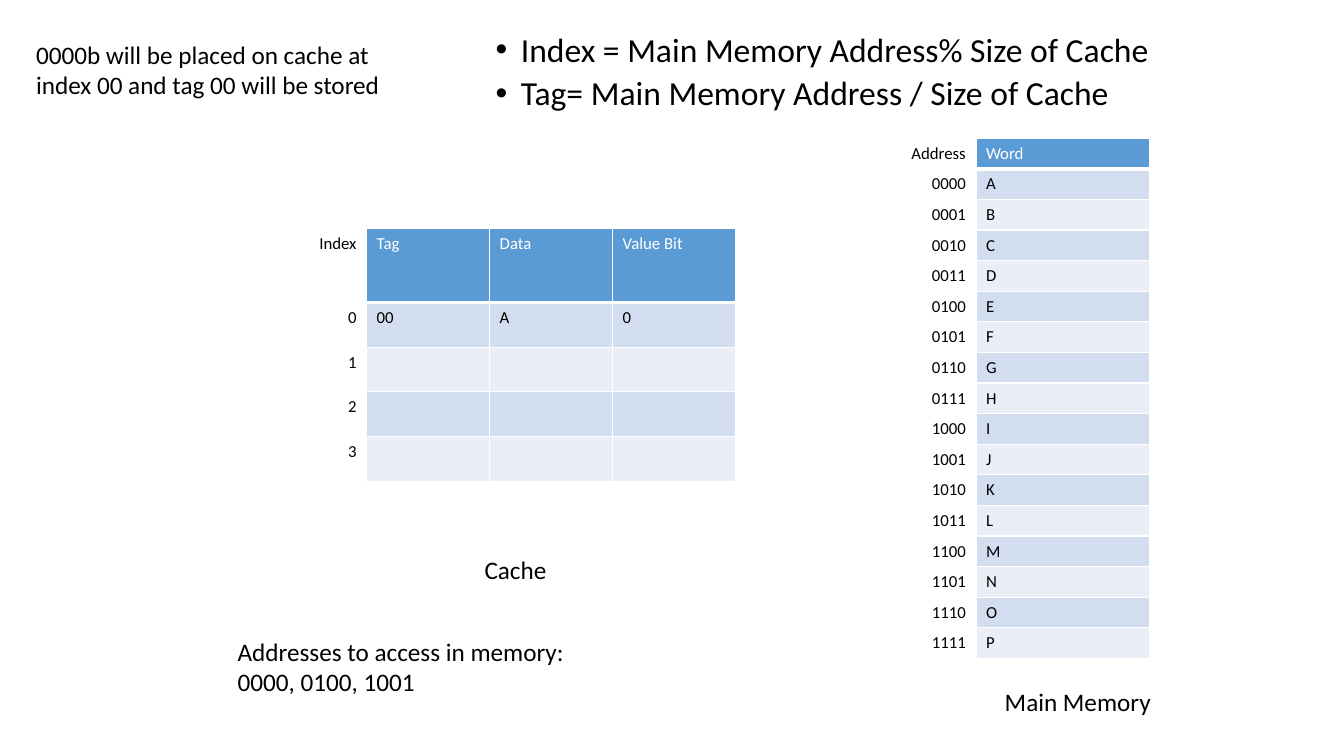
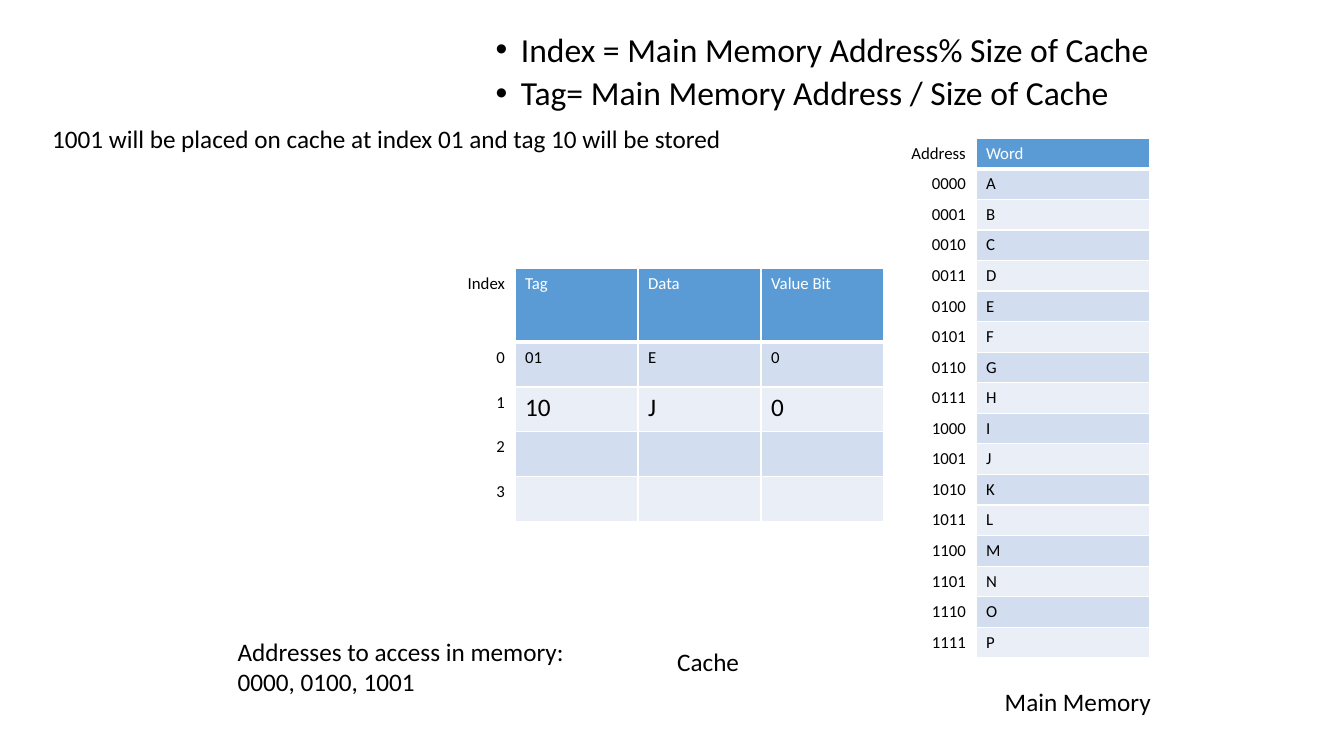
import dataclasses

import lxml.etree
import pptx
import pptx.dml.color
import pptx.enum.text
import pptx.oxml.ns
import pptx.presentation
import pptx.slide
import pptx.table
import pptx.text.text
import pptx.util

Pt = pptx.util.Pt
qn = pptx.oxml.ns.qn


@dataclasses.dataclass(frozen=True)
class Theme:
    font: str = "Calibri"
    ink: str = "000000"
    white: str = "FFFFFF"
    head: str = "5B9BD5"
    bands: tuple[str, str] = ("D2DEEF", "EAEFF7")
    small: float = 12
    body: float = 18
    large: float = 24
    thin: float = 1
    thick: float = 3


@dataclasses.dataclass(frozen=True)
class Label:
    left: float
    top: float
    width: float
    height: float
    lines: tuple[str, ...]
    wrap: bool = False
    size: float = Theme.body
    bullet: bool = False


@dataclasses.dataclass(frozen=True)
class Row:
    cells: tuple[str, ...]
    size: float = Theme.small


@dataclasses.dataclass(frozen=True)
class Grid:
    """A table whose first column holds row labels without fill."""
    left: float
    top: float
    width: float
    first: float
    height: float
    rows: tuple[Row, ...]


@dataclasses.dataclass(frozen=True)
class Page:
    cache: Grid
    name: Label
    note: Label


THEME = Theme()

MEMORY = Grid(573.3, 98.8, 123.8, 21.85, 21.85, (
    Row(("Address", "Word")),
    *(Row((f"{place:04b}", word)) for place, word in enumerate("ABCDEFGHIJKLMNOP")),
))
SHARED = (
    Label(710.6, 486.7, 120, 29, ("Main Memory",)),
    Label(162.7, 450.7, 486.7, 73,
          ("Addresses to access in memory:", "0000, 0100, 1001"), wrap=True),
    Label(311, 20.2, 518.4, 65,
          ("Index = Main Memory Address% Size of Cache",
           "Tag= Main Memory Address / Size of Cache"),
          wrap=True, size=THEME.large, bullet=True),
)


def cache(left: float, top: float, *used: Row) -> Grid:
    """Return a cache of four entries, the used ones first."""
    free = tuple(Row((str(n), "", "", "")) for n in range(len(used), 4))
    head = Row(("Index", "Tag", "Data", "Value Bit"))
    return Grid(left, top, 87.9, 53, 32, (head, *used, *free))


PAGES = (
    Page(cache(174, 163, Row(("0", "00", "A", "0"))),
         Label(339, 392.4, 59, 29, ("Cache",)),
         Label(18.7, 24.5, 292.3, 73,
               ("0000b will be placed on cache at index 00 and tag 00 will be stored",),
               wrap=True)),
    Page(cache(280, 191.5, Row(("0", "01", "E", "0")),
               Row(("1", "10", "J", "0"), THEME.body)),
         Label(476.6, 458, 59, 29, ("Cache",)),
         Label(30.2, 84.2, 498, 29,
               ("1001 will be placed on cache at index 01 and tag 10 will be stored",))),
)


def paint(hue: str) -> pptx.dml.color.RGBColor:
    return pptx.dml.color.RGBColor.from_string(hue)


def write(para: pptx.text.text._Paragraph, text: str, size: float, hue: str) -> None:
    run = para.add_run()
    run.text = text
    run.font.name = THEME.font
    run.font.size = Pt(size)
    run.font.bold = False
    run.font.color.rgb = paint(hue)


def dot(para: pptx.text.text._Paragraph) -> None:
    """Give a paragraph a hanging bullet."""
    props = para._p.get_or_add_pPr()
    props.set("marL", str(Pt(54)))
    props.set("indent", str(Pt(-18)))
    lxml.etree.SubElement(props, qn("a:buFont"), typeface="Arial")
    lxml.etree.SubElement(props, qn("a:buChar"), char="•")
    para.line_spacing = 0.9


def place(slide: pptx.slide.Slide, label: Label) -> None:
    box = slide.shapes.add_textbox(
        Pt(label.left), Pt(label.top), Pt(label.width), Pt(label.height))
    frame = box.text_frame
    frame.word_wrap = label.wrap
    frame.auto_size = pptx.enum.text.MSO_AUTO_SIZE.SHAPE_TO_FIT_TEXT
    for n, line in enumerate(label.lines):
        para = frame.add_paragraph() if n else frame.paragraphs[0]
        if label.bullet:
            dot(para)
            if n:
                para.space_before = Pt(5)
        write(para, line, label.size, THEME.ink)


def edge(cell: pptx.table._Cell, base: float) -> None:
    """Draw white borders, the lower one as wide as base."""
    props = cell._tc.get_or_add_tcPr()
    for side in "LRTB":
        width = base if side == "B" else THEME.thin
        line = lxml.etree.SubElement(props, qn(f"a:ln{side}"), w=str(Pt(width)))
        fill = lxml.etree.SubElement(line, qn("a:solidFill"))
        lxml.etree.SubElement(fill, qn("a:srgbClr"), val=THEME.white)


def draw(slide: pptx.slide.Slide, grid: Grid) -> None:
    count = len(grid.rows[0].cells)
    total = grid.first + grid.height * (len(grid.rows) - 1)
    table = slide.shapes.add_table(
        len(grid.rows), count, Pt(grid.left), Pt(grid.top),
        Pt(grid.width * count), Pt(total)).table
    table.first_row = table.horz_banding = False
    for col in table.columns:
        col.width = Pt(grid.width)
    for r, row in enumerate(grid.rows):
        table.rows[r].height = Pt(grid.height if r else grid.first)
        for c, text in enumerate(row.cells):
            cell = table.cell(r, c)
            edge(cell, THEME.thin if r else THEME.thick)
            para = cell.text_frame.paragraphs[0]
            size, hue = row.size, THEME.ink
            if c:
                cell.fill.solid()
                cell.fill.fore_color.rgb = paint(
                    THEME.bands[(r - 1) % 2] if r else THEME.head)
                hue = THEME.ink if r else THEME.white
            else:
                cell.fill.background()
                para.alignment = pptx.enum.text.PP_ALIGN.RIGHT
                size = THEME.small
            if text:
                write(para, text, size, hue)


def build(deck: pptx.presentation.Presentation, page: Page) -> None:
    slide = deck.slides.add_slide(deck.slide_layouts[6])
    for grid in (MEMORY, page.cache):
        draw(slide, grid)
    for label in (page.name, page.note, *SHARED):
        place(slide, label)


def main() -> None:
    deck = pptx.Presentation()
    deck.slide_width, deck.slide_height = Pt(960), Pt(540)
    for page in PAGES:
        build(deck, page)
    deck.save("out.pptx")


if __name__ == "__main__":
    main()
